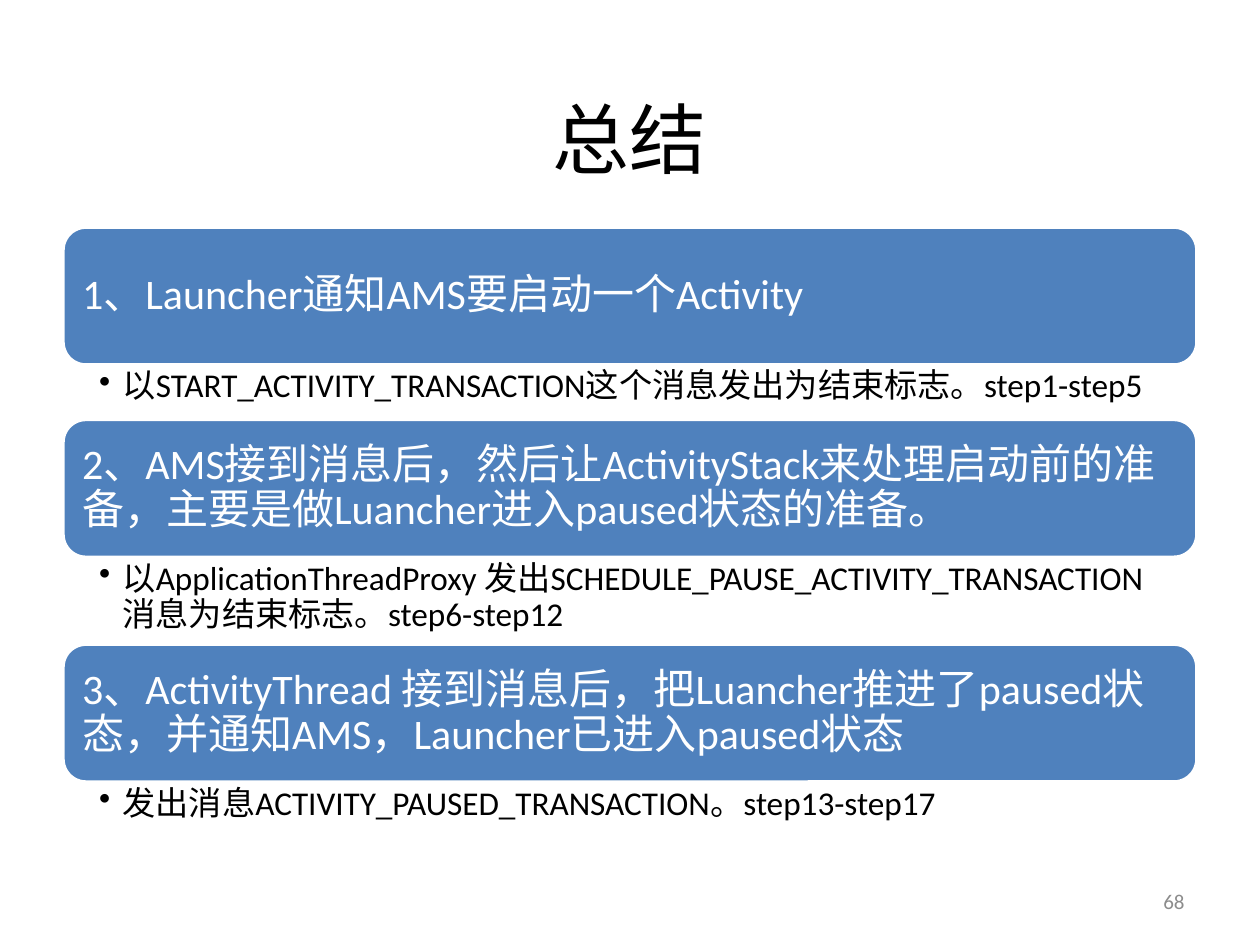
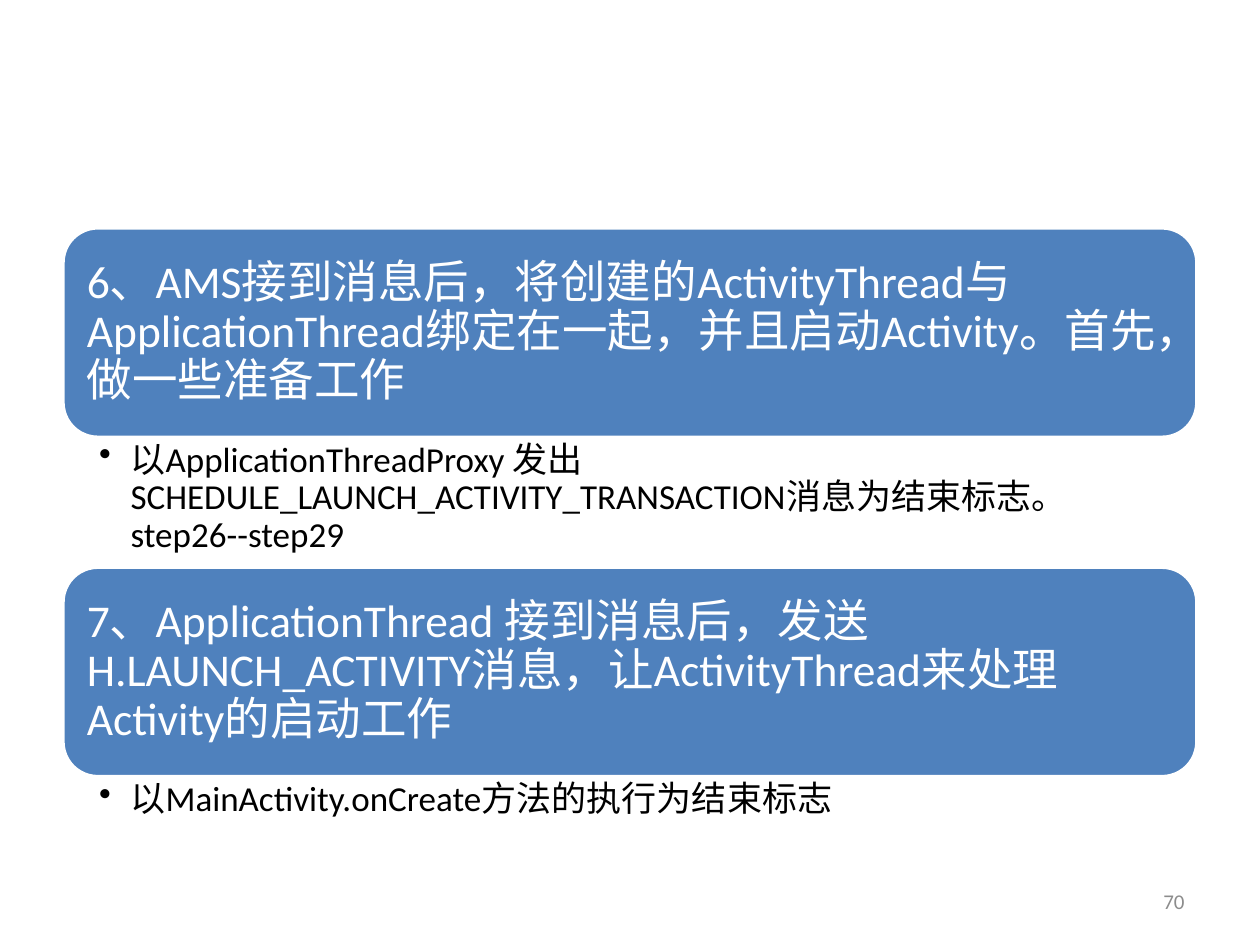
from dataclasses import dataclass

from lxml.etree import SubElement
from pptx import Presentation
from pptx.dml.color import RGBColor
from pptx.enum.shapes import MSO_SHAPE as Shape
from pptx.enum.text import MSO_ANCHOR as Anchor, PP_ALIGN as Align
from pptx.oxml.ns import qn
from pptx.util import Pt


@dataclass(frozen=True)
class Theme:
    font: str = "Calibri"
    bar: RGBColor = RGBColor(0x4F, 0x81, 0xBD)
    light: RGBColor = RGBColor(0xFF, 0xFF, 0xFF)
    dark: RGBColor = RGBColor(0, 0, 0)
    muted: RGBColor = RGBColor(0x8C, 0x8C, 0x8C)
    title_size: int = 44
    number_size: int = 12
    left: int = 36
    width: int = 648


@dataclass(frozen=True)
class StepStyle:
    top: float
    bar_height: float
    bar_size: int
    bar_inset: float
    note_size: int
    note_inset: float
    note_right: float
    indent: float


THEME = Theme()
THREE_STEPS = StepStyle(129.8, 78.8, 24, 7.2, 19, 2.4, 13.5, 13.5)
TWO_STEPS = StepStyle(130.2, 119.7, 26, 7.8, 20, 2.6, 14.2, 18)

SUMMARY_STEPS = [
    ("1、Launcher通知AMS要启动一个Activity",
     "以START_ACTIVITY_TRANSACTION这个消息发出为结束标志。step1-step5", 31.1),
    ("2、AMS接到消息后，然后让ActivityStack来处理启动前的准备，主要是做Luancher进入paused状态的准备。",
     "以ApplicationThreadProxy 发出SCHEDULE_PAUSE_ACTIVITY_TRANSACTION消息为结束标志。step6-step12", 49.6),
    ("3、ActivityThread 接到消息后，把Luancher推进了paused状态，并通知AMS，Launcher已进入paused状态",
     "发出消息ACTIVITY_PAUSED_TRANSACTION。step13-step17", 31.1),
]
LAUNCH_STEPS = [
    ("6、AMS接到消息后，将创建的ActivityThread与ApplicationThread绑定在一起，并且启动Activity。首先，做一些准备工作",
     "以ApplicationThreadProxy 发出SCHEDULE_LAUNCH_ACTIVITY_TRANSACTION消息为结束标志。step26--step29", 74.2),
    ("7、ApplicationThread 接到消息后，发送H.LAUNCH_ACTIVITY消息，让ActivityThread来处理Activity的启动工作",
     "以MainActivity.onCreate方法的执行为结束标志", 33.8),
]


def write(frame, text, size, color, align, anchor, insets=(7.2, 3.6, 7.2, 3.6), spacing=None):
    frame.word_wrap = True
    frame.vertical_anchor = anchor
    frame.margin_left, frame.margin_top, frame.margin_right, frame.margin_bottom = map(Pt, insets)
    paragraph = frame.paragraphs[0]
    paragraph.text = text
    paragraph.alignment = align
    paragraph.line_spacing = spacing
    paragraph.font.name = THEME.font
    paragraph.font.size = Pt(size)
    paragraph.font.color.rgb = color
    return paragraph


def add_bullet(paragraph, indent):
    properties = paragraph._p.get_or_add_pPr()
    properties.set("marL", str(Pt(indent)))
    properties.set("indent", str(-Pt(indent)))
    bullet = SubElement(properties, qn("a:buChar"), char="•")
    properties.find(qn("a:defRPr")).addprevious(bullet)


def add_title(slide, text):
    title = slide.shapes.title
    title.left, title.top, title.width, title.height = map(Pt, (THEME.left, 39.6, THEME.width, 78.5))
    write(title.text_frame, text, THEME.title_size, THEME.dark, Align.CENTER, Anchor.MIDDLE)


def add_bar(slide, text, top, style):
    bar = slide.shapes.add_shape(Shape.ROUNDED_RECTANGLE, Pt(THEME.left), Pt(top),
                                 Pt(THEME.width), Pt(style.bar_height))
    bar.shadow.inherit = False
    bar.fill.solid()
    bar.fill.fore_color.rgb = THEME.bar
    bar.line.color.rgb = THEME.light
    bar.line.width = Pt(2)
    write(bar.text_frame, text, style.bar_size, THEME.light, Align.LEFT, Anchor.MIDDLE,
          (style.bar_inset,) * 4, 0.9)


def add_note(slide, text, top, height, style):
    note = slide.shapes.add_textbox(Pt(THEME.left), Pt(top), Pt(THEME.width), Pt(height))
    paragraph = write(note.text_frame, text, style.note_size, THEME.dark, Align.LEFT, Anchor.TOP,
                      (20.6, style.note_inset, style.note_right, style.note_inset), 0.9)
    add_bullet(paragraph, style.indent)


def add_steps(slide, steps, style):
    top = style.top
    for heading, ending, note_height in steps:
        add_bar(slide, heading, top, style)
        top += style.bar_height
        add_note(slide, ending, top, note_height, style)
        top += note_height


def add_page_number(slide, number):
    page = slide.shapes.add_textbox(Pt(516), Pt(500.5), Pt(168), Pt(28.75))
    write(page.text_frame, str(number), THEME.number_size, THEME.muted, Align.RIGHT, Anchor.MIDDLE)


def main():
    deck = Presentation()
    deck.slide_width, deck.slide_height = Pt(720), Pt(540)
    title_only, blank = deck.slide_layouts[5], deck.slide_layouts[6]

    summary = deck.slides.add_slide(title_only)
    add_title(summary, "总结")
    add_steps(summary, SUMMARY_STEPS, THREE_STEPS)
    add_page_number(summary, 68)

    launch = deck.slides.add_slide(blank)
    add_steps(launch, LAUNCH_STEPS, TWO_STEPS)
    add_page_number(launch, 70)

    deck.save("out.pptx")


main()
